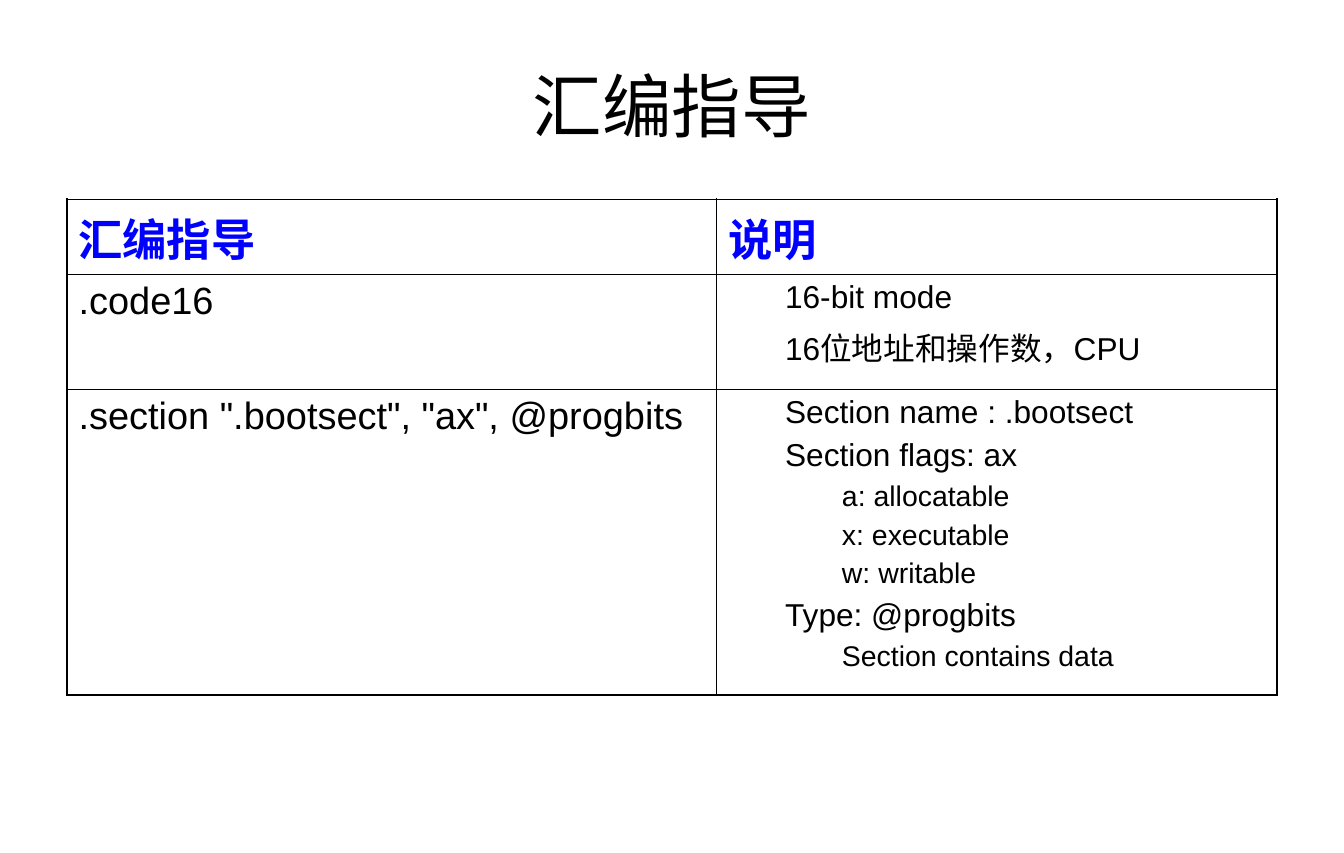
"""Builds the slide on assembler directives."""
from dataclasses import dataclass

from lxml import etree
from pptx import Presentation
from pptx import util as u
from pptx.dml.color import RGBColor
from pptx.enum import text
from pptx.oxml import ns


@dataclass(frozen=True)
class Theme:
    """Font, colours, type sizes and line widths."""
    font: str = "Arial"
    ink: str = "000000"
    heading: str = "0000FF"
    title_size: int = 44
    heading_size: int = 28
    level_sizes: tuple[int, ...] = (24, 20, 18)
    outer: float = 1.08
    inner: float = 0.45


@dataclass(frozen=True)
class Line:
    """One paragraph of a cell."""
    words: str
    level: int = 0
    heading: bool = False


THEME = Theme()
TITLE = "汇编指导"
LEFT, WIDTH = u.Cm(1.5), u.Cm(27)
COLUMNS = (u.Cm(14.5), u.Cm(12.5))
ROWS = (u.Cm(1.68), u.Cm(2.56), u.Cm(6.83))
INDENT = u.Cm(1.27)
CELLS = (
    ((Line("汇编指导", heading=True),), (Line("说明", heading=True),)),
    ((Line(".code16"),),
     (Line("16-bit mode", 1), Line("16位地址和操作数，CPU", 1))),
    ((Line('.section ".bootsect", "ax", @progbits'),),
     (Line("Section name : .bootsect", 1),
      Line("Section flags: ax", 1),
      Line("a: allocatable", 2),
      Line("x: executable", 2),
      Line("w: writable", 2),
      Line("Type: @progbits", 1),
      Line("Section contains data", 2))),
)


def style(p, size: float, colour: str, bold: bool = False) -> None:
    """Set the font of a paragraph."""
    p.font.name = THEME.font
    p.font.size = u.Pt(size)
    p.font.bold = bold
    p.font.color.rgb = RGBColor.from_string(colour)


def add_title(slide) -> None:
    """Add the centred title."""
    sp = slide.shapes.add_textbox(LEFT, u.Cm(0.76), WIDTH, u.Cm(3.18))
    tf = sp.text_frame
    tf.word_wrap = True
    tf.vertical_anchor = text.MSO_ANCHOR.MIDDLE
    p = tf.paragraphs[0]
    p.text = TITLE
    p.alignment = text.PP_ALIGN.CENTER
    style(p, THEME.title_size, THEME.ink)


def write_cell(cell, lines: tuple[Line, ...]) -> None:
    """Write paragraphs with space before of a quarter of their size."""
    tf = cell.text_frame
    for i, line in enumerate(lines):
        p = tf.add_paragraph() if i else tf.paragraphs[0]
        p.text = line.words
        p.level = line.level
        size = THEME.heading_size if line.heading else THEME.level_sizes[line.level]
        style(p, size, THEME.heading if line.heading else THEME.ink, line.heading)
        p.space_before = u.Pt(size / 4)
        pPr = p._p.get_or_add_pPr()
        pPr.set("marL", str(INDENT * line.level))
        pPr.set("indent", "0")


def set_borders(cell, row: int, col: int) -> None:
    """Draw thick lines on the table's outline and thin ones inside."""
    outline = {"lnL": col == 0, "lnR": col == len(COLUMNS) - 1,
               "lnT": row == 0, "lnB": row == len(ROWS) - 1}
    tcPr = cell._tc.get_or_add_tcPr()
    for i, (side, outer) in enumerate(outline.items()):
        ln = etree.Element(ns.qn(f"a:{side}"))
        ln.set("w", str(u.Pt(THEME.outer if outer else THEME.inner)))
        fill = etree.SubElement(ln, ns.qn("a:solidFill"))
        etree.SubElement(fill, ns.qn("a:srgbClr")).set("val", THEME.ink)
        tcPr.insert(i, ln)


def add_directives(slide) -> None:
    """Add the table of directives."""
    frame = slide.shapes.add_table(len(ROWS), len(COLUMNS), LEFT, u.Cm(4.45),
                                   WIDTH, sum(ROWS))
    table = frame.table
    table.first_row = table.horz_banding = False
    for column, width in zip(table.columns, COLUMNS):
        column.width = width
    for r, height in enumerate(ROWS):
        table.rows[r].height = height
        for c, lines in enumerate(CELLS[r]):
            cell = table.cell(r, c)
            cell.fill.background()
            write_cell(cell, lines)
            set_borders(cell, r, c)


def main() -> None:
    """Build and save the slide."""
    prs = Presentation()
    prs.slide_width, prs.slide_height = u.Cm(30), u.Cm(19.05)
    slide = prs.slides.add_slide(prs.slide_layouts[6])
    add_title(slide)
    add_directives(slide)
    prs.save("out.pptx")


if __name__ == "__main__":
    main()
